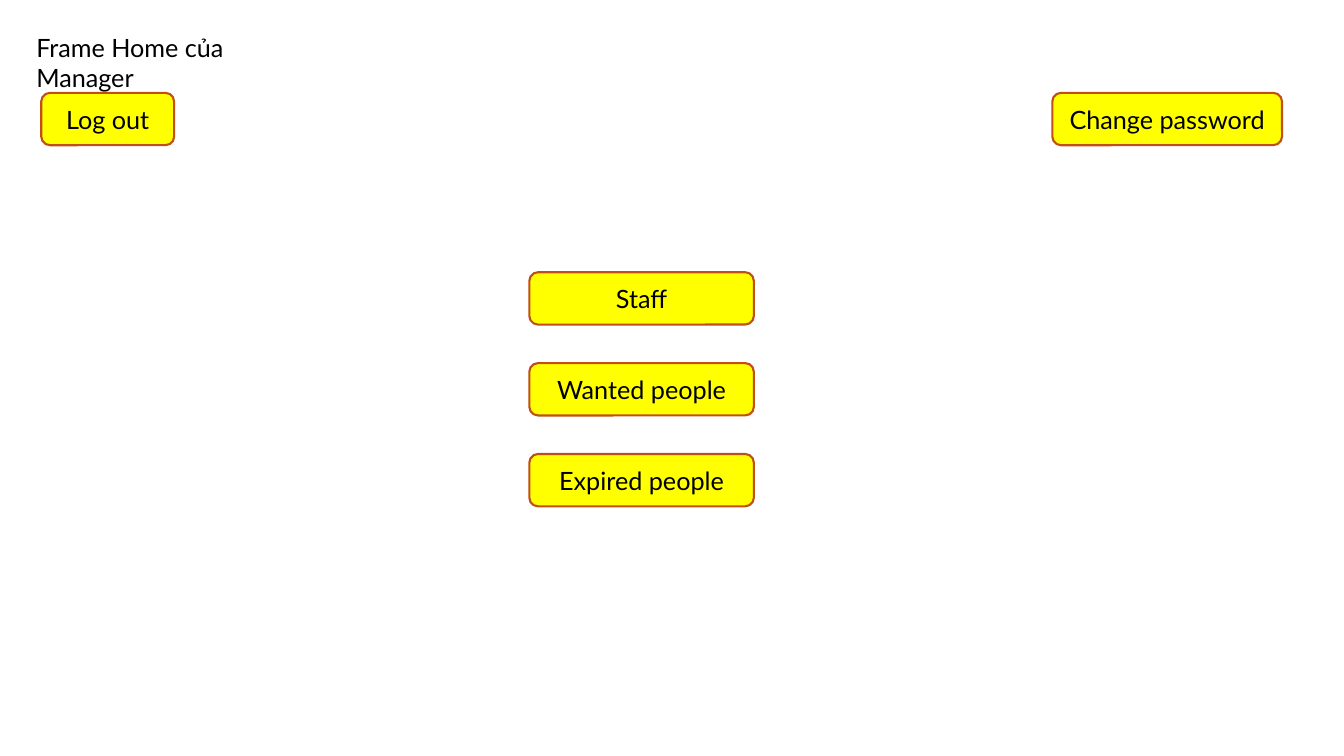
from pptx import Presentation
from pptx import util as u
from pptx.dml.color import RGBColor
from pptx.enum import shapes, text

COLORS = {"text": "000000", "button": "FFFF00", "border": "C04F15"}
FONT = "Lato"
BUTTON_HEIGHT = u.Cm(1.32)
TOP_ROW = u.Cm(2.34)


def color(name):
    return RGBColor.from_string(COLORS[name])


def add_run(p, content):
    r = p.add_run()
    r.text = content
    r.font.name = FONT
    r.font.size = u.Pt(18)
    r.font.color.rgb = color("text")


def set_title(s, content, left, top, width, height):
    sp = s.shapes.title
    sp.left, sp.top, sp.width, sp.height = left, top, width, height
    tf = sp.text_frame
    tf.word_wrap = True
    tf.auto_size = text.MSO_AUTO_SIZE.SHAPE_TO_FIT_TEXT
    tf.vertical_anchor = text.MSO_ANCHOR.TOP
    p = tf.paragraphs[0]
    p.alignment = text.PP_ALIGN.LEFT
    add_run(p, content)


def add_button(s, label, left, top, width):
    sp = s.shapes.add_shape(
        shapes.MSO_SHAPE.ROUNDED_RECTANGLE, left, top, width, BUTTON_HEIGHT
    )
    sp.shadow.inherit = False
    sp.fill.solid()
    sp.fill.fore_color.rgb = color("button")
    sp.line.color.rgb = color("border")
    sp.line.width = u.Pt(1.5)
    tf = sp.text_frame
    tf.word_wrap = True
    tf.vertical_anchor = text.MSO_ANCHOR.MIDDLE
    p = tf.paragraphs[0]
    p.alignment = text.PP_ALIGN.CENTER
    add_run(p, label)


def add_menu(s, labels, left, top, width, pitch):
    for i, label in enumerate(labels):
        add_button(s, label, left, top + i * pitch, width)


def main():
    prs = Presentation()
    prs.slide_width, prs.slide_height = u.Cm(33.87), u.Cm(19.05)
    s = prs.slides.add_slide(prs.slide_layouts.get_by_name("Title Only"))
    set_title(s, "Frame Home của Manager", u.Cm(0.66), u.Cm(0.69), u.Cm(7.82), u.Cm(1.02))
    add_button(s, "Log out", u.Cm(1.04), TOP_ROW, u.Cm(3.35))
    add_menu(
        s,
        ["Staff", "Wanted people", "Expired people"],
        u.Cm(13.34), u.Cm(6.86), u.Cm(5.66), u.Cm(2.29),
    )
    add_button(s, "Change password", u.Cm(26.52), TOP_ROW, u.Cm(5.79))
    prs.save("out.pptx")


if __name__ == "__main__":
    main()
